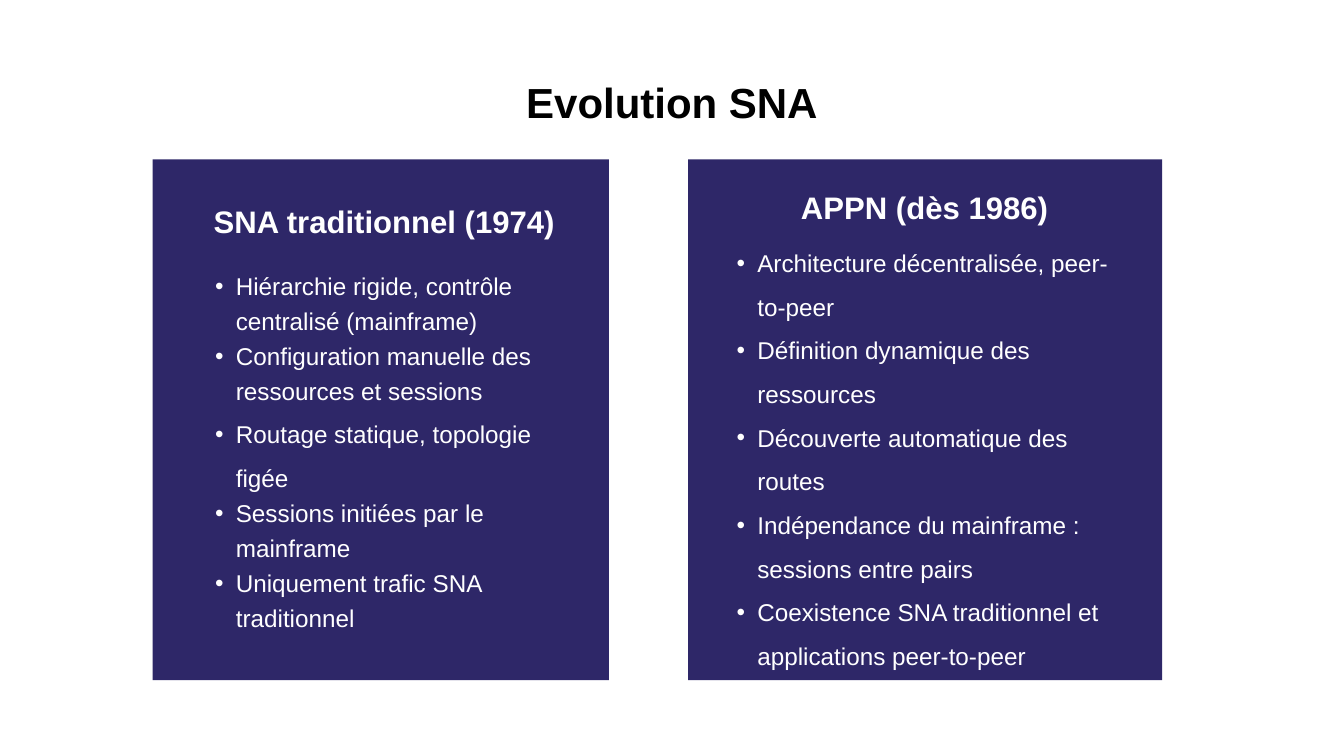
from lxml import etree
from pptx import Presentation
from pptx import util as u
from pptx.dml.color import RGBColor
from pptx.enum import shapes, text
from pptx.oxml import ns

INDIGO = RGBColor(0x2E, 0x27, 0x68)
WHITE = RGBColor(0xFF, 0xFF, 0xFF)
BLACK = RGBColor(0, 0, 0)

WIDTH, HEIGHT = u.Inches(20), u.Inches(11.25)
HEADLINE = "Evolution SNA"
HEADLINE_AREA = (24.9, 9.51, 50.2, 7.11)
INDENT = u.Inches(0.61)
HANG = u.Inches(0.31)

COLUMNS = [
    {
        "panel": (11.35, 21.07, 33.95, 68.89),
        "heading": "SNA traditionnel (1974)",
        "heading_area": (14.65, 25.78, 27.9, 5.42),
        "points_area": (14.5, 35.11, 27.7, 40.36),
        "points": [
            ("Hiérarchie rigide, contrôle centralisé (mainframe)", 1.2),
            ("Configuration manuelle des ressources et sessions", 1.2),
            ("Routage statique, topologie figée", 1.5),
            ("Sessions initiées par le mainframe", 1.2),
            ("Uniquement trafic SNA traditionnel", 1.2),
        ],
    },
    {
        "panel": (51.2, 21.07, 35.28, 68.89),
        "heading": "APPN (dès 1986)",
        "heading_area": (56.25, 23.91, 25.1, 5.42),
        "points_area": (53.3, 30.93, 29.9, 47.47),
        "points": [
            ("Architecture décentralisée, peer-to-peer", 1.5),
            ("Définition dynamique des ressources", 1.5),
            ("Découverte automatique des routes", 1.5),
            ("Indépendance du mainframe : sessions entre pairs", 1.5),
            ("Coexistence SNA traditionnel et applications peer-to-peer", 1.5),
        ],
    },
]


def place(area):
    return [int(share * side / 100) for share, side in zip(area, (WIDTH, HEIGHT) * 2)]


def prepare(frame):
    frame.margin_left = frame.margin_right = frame.margin_top = frame.margin_bottom = 0
    frame.word_wrap = True
    frame.auto_size = text.MSO_AUTO_SIZE.NONE
    frame.vertical_anchor = text.MSO_ANCHOR.TOP
    return frame


def write(paragraph, words, size, color, spacing, bold=False, align=text.PP_ALIGN.CENTER):
    paragraph.text = words
    paragraph.alignment = align
    paragraph.line_spacing = spacing
    font = paragraph.font
    font.name, font.size, font.bold = "Arial", u.Pt(size), bold
    font.color.rgb = color


def add_bullet(paragraph):
    properties = paragraph._p.get_or_add_pPr()
    properties.set("marL", str(INDENT))
    properties.set("indent", str(-HANG))
    tint = etree.SubElement(properties, ns.qn("a:buClr"))
    etree.SubElement(tint, ns.qn("a:srgbClr"), val=str(WHITE))
    etree.SubElement(properties, ns.qn("a:buFont"), typeface="Arial")
    etree.SubElement(properties, ns.qn("a:buChar"), char="•")


def add_column(slide, column):
    panel = slide.shapes.add_shape(shapes.MSO_SHAPE.RECTANGLE, *place(column["panel"]))
    panel.shadow.inherit = False
    panel.fill.solid()
    panel.fill.fore_color.rgb = INDIGO
    panel.line.fill.background()

    heading = prepare(slide.shapes.add_textbox(*place(column["heading_area"])).text_frame)
    write(heading.paragraphs[0], column["heading"], 33.3, WHITE, 1.2, bold=True)

    points = prepare(slide.shapes.add_textbox(*place(column["points_area"])).text_frame)
    for index, (words, spacing) in enumerate(column["points"]):
        point = points.add_paragraph() if index else points.paragraphs[0]
        add_bullet(point)
        write(point, words, 26, WHITE, spacing, align=text.PP_ALIGN.LEFT)


def main():
    deck = Presentation()
    deck.slide_width, deck.slide_height = WIDTH, HEIGHT
    slide = deck.slides.add_slide(deck.slide_layouts[5])

    headline = slide.shapes.title
    headline.left, headline.top, headline.width, headline.height = place(HEADLINE_AREA)
    write(prepare(headline.text_frame).paragraphs[0], HEADLINE, 45, BLACK, 1.1, bold=True)

    for column in COLUMNS:
        add_column(slide, column)
    deck.save("out.pptx")


if __name__ == "__main__":
    main()
